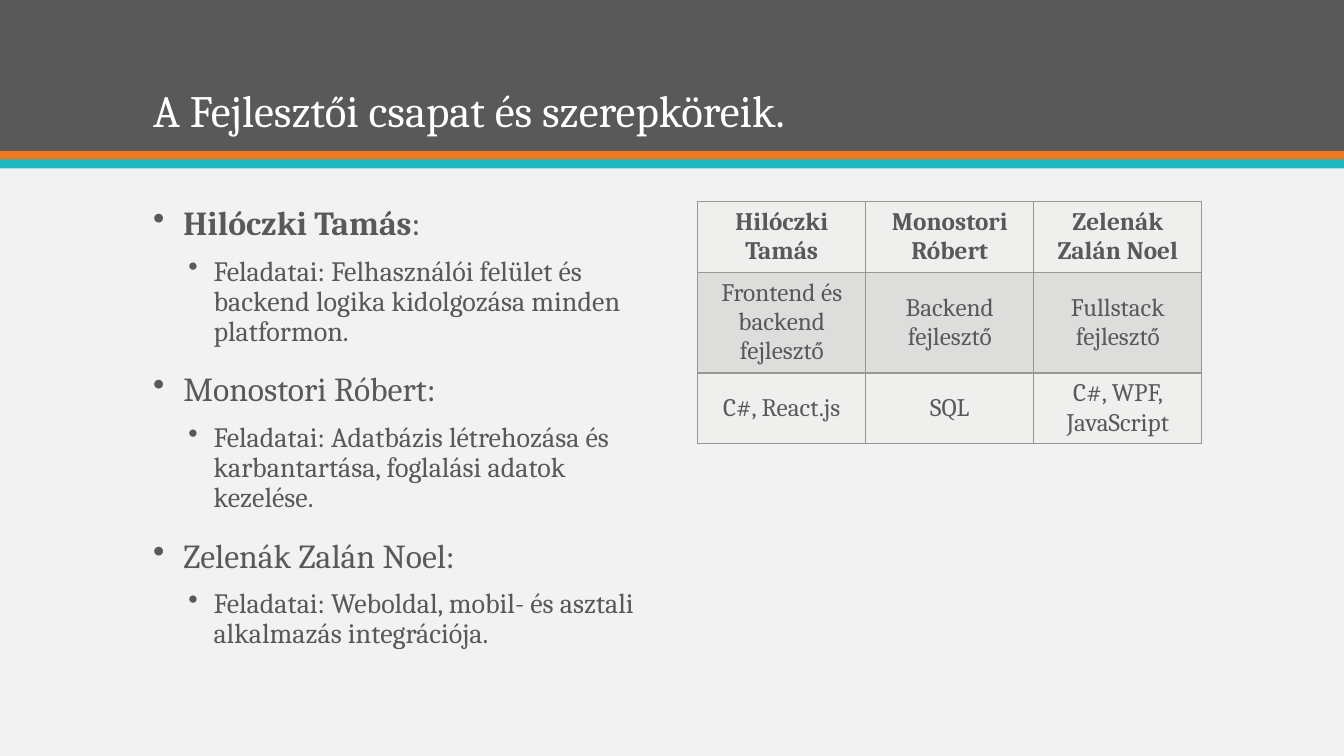
"""Build a slide that presents a development team and its roles."""
from typing import NamedTuple

from lxml.etree import SubElement
from pptx import Presentation
from pptx.dml.color import RGBColor
from pptx.enum.shapes import MSO_SHAPE as Preset
from pptx.enum.text import MSO_ANCHOR as Anchor, PP_ALIGN as Align
from pptx.oxml.ns import qn
from pptx.slide import Slide
from pptx.table import _Cell as Cell
from pptx.text.text import TextFrame, _Paragraph as Paragraph
from pptx.util import Inches, Pt

FONT = "Cambria"
GRAY = RGBColor(0x59, 0x59, 0x59)
ORANGE = RGBColor(0xEF, 0x79, 0x20)
TEAL = RGBColor(0x1E, 0xB8, 0xC1)
WHITE = RGBColor(0xFF, 0xFF, 0xFF)
PAPER = RGBColor(0xF2, 0xF2, 0xF2)
LIGHT_ROW = RGBColor(0xEF, 0xEF, 0xEE)
DARK_ROW = RGBColor(0xDD, 0xDD, 0xDB)
BORDER = RGBColor(0x96, 0x98, 0x90)


class Band(NamedTuple):
    top: float
    height: float
    color: RGBColor


class Level(NamedTuple):
    depth: int
    size: int
    margin: float
    hanging: float
    space_before: int


class Member(NamedTuple):
    name: str
    tasks: str
    role: str
    skills: str
    bold_name: bool = False


BANDS = [Band(0, 1.5, GRAY), Band(1.5, 0.09, ORANGE), Band(1.58, 0.09, TEAL)]
NAME_LEVEL = Level(0, 24, 0.3, 0.3, 18)
TASK_LEVEL = Level(1, 20, 0.6, 0.25, 10)
TEAM = [
    Member("Hilóczki Tamás",
           "Feladatai: Felhasználói felület és backend logika kidolgozása minden platformon.",
           "Frontend és backend fejlesztő", "C#, React.js", True),
    Member("Monostori Róbert",
           "Feladatai: Adatbázis létrehozása és karbantartása, foglalási adatok kezelése.",
           "Backend fejlesztő", "SQL"),
    Member("Zelenák Zalán Noel",
           "Feladatai: Weboldal, mobil- és asztali alkalmazás integrációja.",
           "Fullstack fejlesztő", "C#, WPF, JavaScript"),
]


def add_run(paragraph: Paragraph, text: str, size: int,
            color: RGBColor = GRAY, bold: bool = False) -> None:
    run = paragraph.add_run()
    run.text = text
    run.font.name = FONT
    run.font.size = Pt(size)
    run.font.bold = bold
    run.font.color.rgb = color


def add_band(slide: Slide, band: Band, width: int) -> None:
    stripe = slide.shapes.add_shape(
        Preset.RECTANGLE, 0, Inches(band.top), width, Inches(band.height))
    stripe.shadow.inherit = False
    stripe.fill.solid()
    stripe.fill.fore_color.rgb = band.color
    stripe.line.fill.background()


def add_text_area(slide: Slide, left: float, top: float,
                  width: float, height: float) -> TextFrame:
    frame = slide.shapes.add_textbox(
        Inches(left), Inches(top), Inches(width), Inches(height)).text_frame
    frame.word_wrap = True
    return frame


def format_bullet(paragraph: Paragraph, level: Level) -> None:
    paragraph.level = level.depth
    paragraph.line_spacing = 0.9
    paragraph.space_before = Pt(level.space_before)
    properties = paragraph._p.get_or_add_pPr()
    properties.set("marL", str(Inches(level.margin)))
    properties.set("indent", str(-Inches(level.hanging)))
    SubElement(properties, qn("a:buChar")).set("char", "•")


def add_duties(slide: Slide) -> None:
    duties = add_text_area(slide, 1.42, 2, 5, 4.75)
    for index, member in enumerate(TEAM):
        heading = duties.add_paragraph() if index else duties.paragraphs[0]
        format_bullet(heading, NAME_LEVEL)
        if member.bold_name:
            add_run(heading, member.name, NAME_LEVEL.size, bold=True)
            add_run(heading, ":", NAME_LEVEL.size)
        else:
            add_run(heading, f"{member.name}:", NAME_LEVEL.size)
        tasks = duties.add_paragraph()
        format_bullet(tasks, TASK_LEVEL)
        add_run(tasks, member.tasks, TASK_LEVEL.size)


def add_borders(cell: Cell) -> None:
    properties = cell._tc.get_or_add_tcPr()
    for position, side in enumerate(("a:lnL", "a:lnR", "a:lnT", "a:lnB")):
        line = properties.makeelement(qn(side), {"w": str(Pt(1))})
        properties.insert(position, line)
        fill = SubElement(line, qn("a:solidFill"))
        SubElement(fill, qn("a:srgbClr")).set("val", str(BORDER))


def add_role_table(slide: Slide) -> None:
    rows = [[member.name for member in TEAM],
            [member.role for member in TEAM],
            [member.skills for member in TEAM]]
    roles = slide.shapes.add_table(
        len(rows), len(TEAM), Inches(6.92), Inches(2), Inches(5), Inches(1.89)).table
    for row_index, texts in enumerate(rows):
        for column, text in enumerate(texts):
            cell = roles.cell(row_index, column)
            cell.fill.solid()
            cell.fill.fore_color.rgb = DARK_ROW if row_index % 2 else LIGHT_ROW
            cell.vertical_anchor = Anchor.MIDDLE
            paragraph = cell.text_frame.paragraphs[0]
            paragraph.alignment = Align.CENTER
            add_run(paragraph, text, 18, bold=row_index == 0)
            add_borders(cell)


def main() -> None:
    deck = Presentation()
    deck.slide_width, deck.slide_height = Inches(13.33), Inches(7.5)
    slide = deck.slides.add_slide(deck.slide_layouts[6])
    slide.background.fill.solid()
    slide.background.fill.fore_color.rgb = PAPER
    for band in BANDS:
        add_band(slide, band, deck.slide_width)
    title = add_text_area(slide, 1.42, 0.28, 10.5, 1.13)
    title.vertical_anchor = Anchor.BOTTOM
    title.paragraphs[0].line_spacing = 0.9
    add_run(title.paragraphs[0], "A Fejlesztői csapat és szerepköreik.", 32, WHITE)
    add_duties(slide)
    add_role_table(slide)
    deck.save("out.pptx")


if __name__ == "__main__":
    main()
